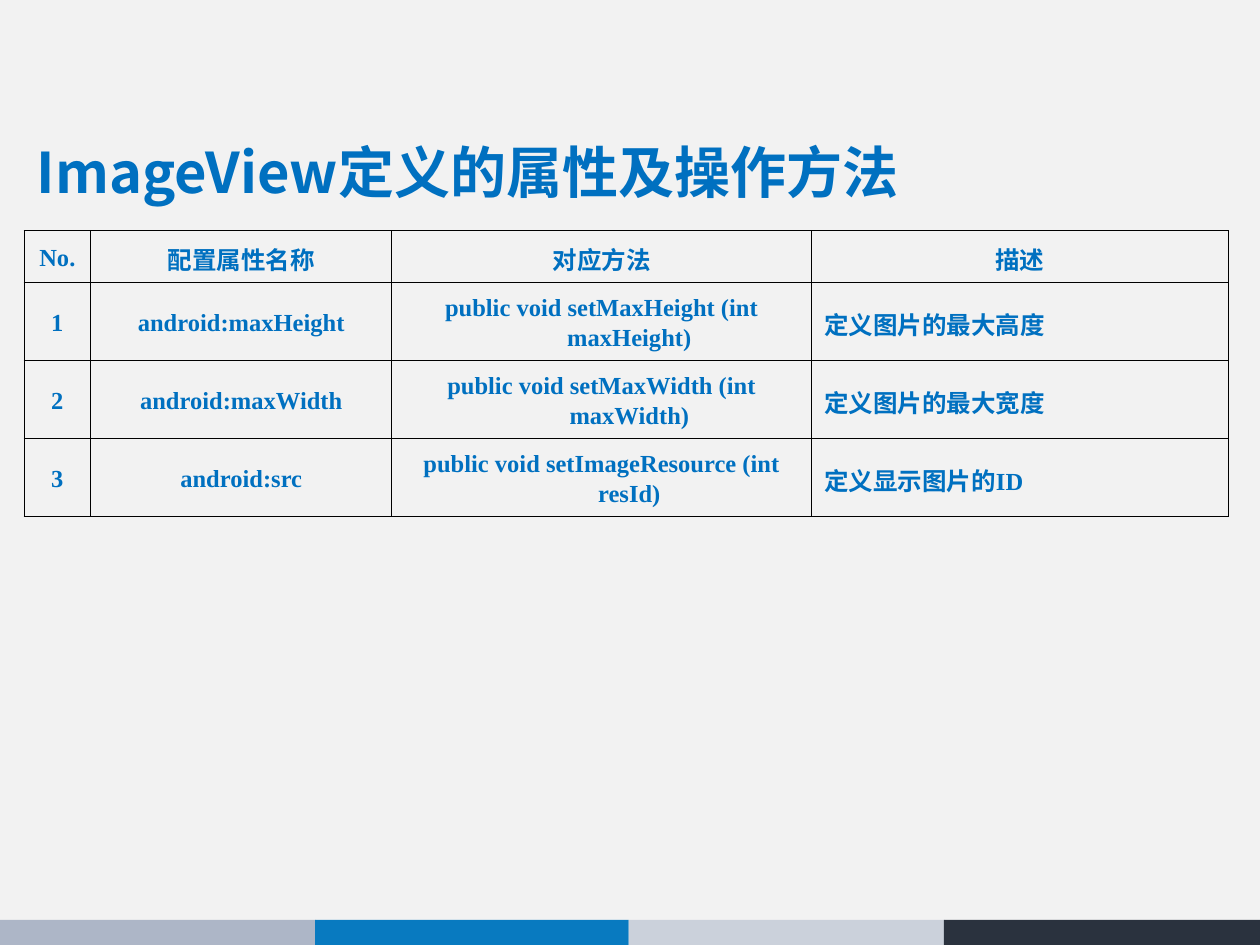
from typing import Any, NamedTuple

from lxml.etree import SubElement
from pptx import Presentation
from pptx.dml.color import RGBColor
from pptx.enum.shapes import MSO_SHAPE as Preset
from pptx.enum.text import MSO_ANCHOR as Anchor, MSO_AUTO_SIZE as AutoSize, PP_ALIGN as Align
from pptx.oxml.ns import qn
from pptx.util import Inches, Pt

COLORS = {
    "background": "F2F2F2",
    "text": "0070C0",
    "border": "000000",
    "grey": "ADB6C7",
    "blue": "087AC0",
    "pale": "CBD1DB",
    "dark": "2A323E",
}
CJK_FONT = "Noto Sans CJK SC"
LEFT, WIDTH = 0.19, 9.57
COLUMN_WIDTHS = [0.53, 2.39, 3.33, 3.31]
ROW_HEIGHTS = [0.4, 0.62, 0.62, 0.62]
TITLE_FONT = {"name": CJK_FONT, "size": Pt(32), "bold": True}
CELL_FONT = {"name": "Times New Roman", "size": Pt(14), "bold": True}


class Band(NamedTuple):
    left: float
    width: float
    color: str


class Attribute(NamedTuple):
    number: str
    name: str
    method: str
    description: str


BANDS = [
    Band(0, 2.51, "grey"),
    Band(2.5, 2.49, "blue"),
    Band(4.99, 2.51, "pale"),
    Band(7.49, 2.51, "dark"),
]
ATTRIBUTES = [
    Attribute("No.", "配置属性名称", "对应方法", "描述"),
    Attribute("1", "android:maxHeight", "public void setMaxHeight (int maxHeight)", "定义图片的最大高度"),
    Attribute("2", "android:maxWidth", "public void setMaxWidth (int maxWidth)", "定义图片的最大宽度"),
    Attribute("3", "android:src", "public void setImageResource (int resId)", "定义显示图片的ID"),
]


def color(key: str) -> RGBColor:
    return RGBColor.from_string(COLORS[key])


def apply(target: Any, values: dict[str, Any]) -> None:
    for key, value in values.items():
        setattr(target, key, value)


def write(paragraph: Any, wording: str, font: dict[str, Any]) -> None:
    run = paragraph.add_run()
    run.text = wording
    apply(run.font, font)
    run.font.color.rgb = color("text")
    SubElement(run.font._element, qn("a:ea"), typeface=CJK_FONT)


def draw_band(slide: Any, band: Band) -> None:
    strip = slide.shapes.add_shape(
        Preset.RECTANGLE, Inches(band.left), Inches(7.3), Inches(band.width), Inches(0.21)
    )
    strip.shadow.inherit = False
    strip.fill.solid()
    strip.fill.fore_color.rgb = color(band.color)
    strip.line.fill.background()


def draw_title(slide: Any, wording: str) -> None:
    title = slide.shapes.title
    apply(title, {"left": Inches(LEFT), "top": Inches(0.96), "width": Inches(WIDTH), "height": Inches(0.86)})
    apply(title.text_frame, {"vertical_anchor": Anchor.MIDDLE, "auto_size": AutoSize.NONE, "word_wrap": True})
    heading = title.text_frame.paragraphs[0]
    apply(heading, {"alignment": Align.LEFT, "line_spacing": 0.9})
    write(heading, wording, TITLE_FONT)


def draw_borders(cell: Any) -> None:
    properties = cell._tc.get_or_add_tcPr()
    for side in ("lnL", "lnR", "lnT", "lnB"):
        edge = SubElement(properties, qn(f"a:{side}"), w=str(Pt(0.45)))
        fill = SubElement(edge, qn("a:solidFill"))
        SubElement(fill, qn("a:srgbClr"), val=COLORS["border"])


def fill_cell(cell: Any, wording: str, alignment: Align) -> None:
    draw_borders(cell)
    cell.fill.background()
    cell.vertical_anchor = Anchor.MIDDLE
    entry = cell.text_frame.paragraphs[0]
    apply(entry, {"alignment": alignment, "line_spacing": 1.1})
    hanging = entry._p.get_or_add_pPr()
    hanging.set("marL", str(Inches(0.44)))
    hanging.set("indent", str(Inches(-0.44)))
    write(entry, wording, CELL_FONT)


def draw_attributes(slide: Any, attributes: list[Attribute]) -> None:
    grid = slide.shapes.add_table(
        len(attributes), len(COLUMN_WIDTHS),
        Inches(LEFT), Inches(1.83), Inches(WIDTH), Inches(sum(ROW_HEIGHTS)),
    ).table
    apply(grid, {"first_row": False, "horz_banding": False})
    for column, width in zip(grid.columns, COLUMN_WIDTHS):
        column.width = Inches(width)
    for row, height in zip(grid.rows, ROW_HEIGHTS):
        row.height = Inches(height)
    for r, attribute in enumerate(attributes):
        for c, wording in enumerate(attribute):
            is_description = r > 0 and c == len(attribute) - 1
            fill_cell(grid.cell(r, c), wording, Align.JUSTIFY if is_description else Align.CENTER)


def main() -> None:
    deck = Presentation()
    apply(deck, {"slide_width": Inches(10), "slide_height": Inches(7.5)})
    slide = deck.slides.add_slide(deck.slide_layouts[5])
    slide.background.fill.solid()
    slide.background.fill.fore_color.rgb = color("background")
    for band in BANDS:
        draw_band(slide, band)
    draw_title(slide, "ImageView定义的属性及操作方法")
    draw_attributes(slide, ATTRIBUTES)
    deck.save("out.pptx")


if __name__ == "__main__":
    main()
